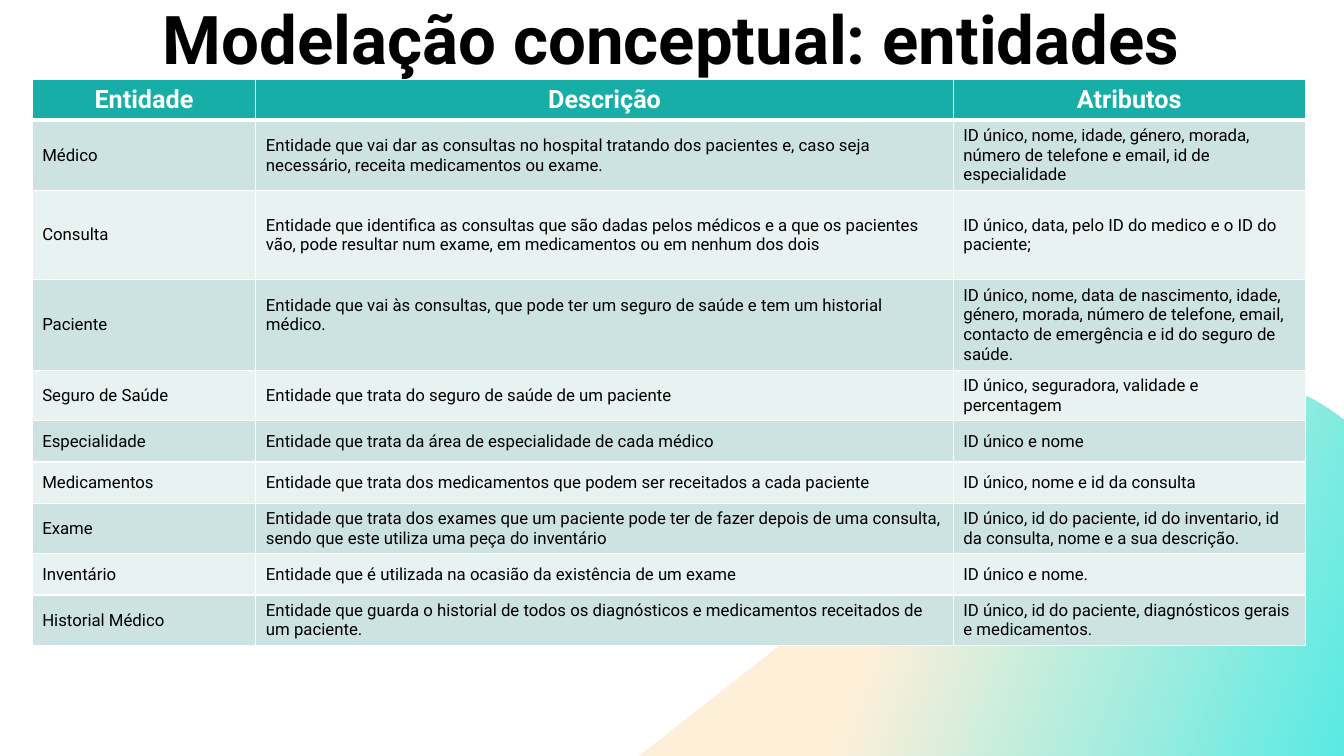
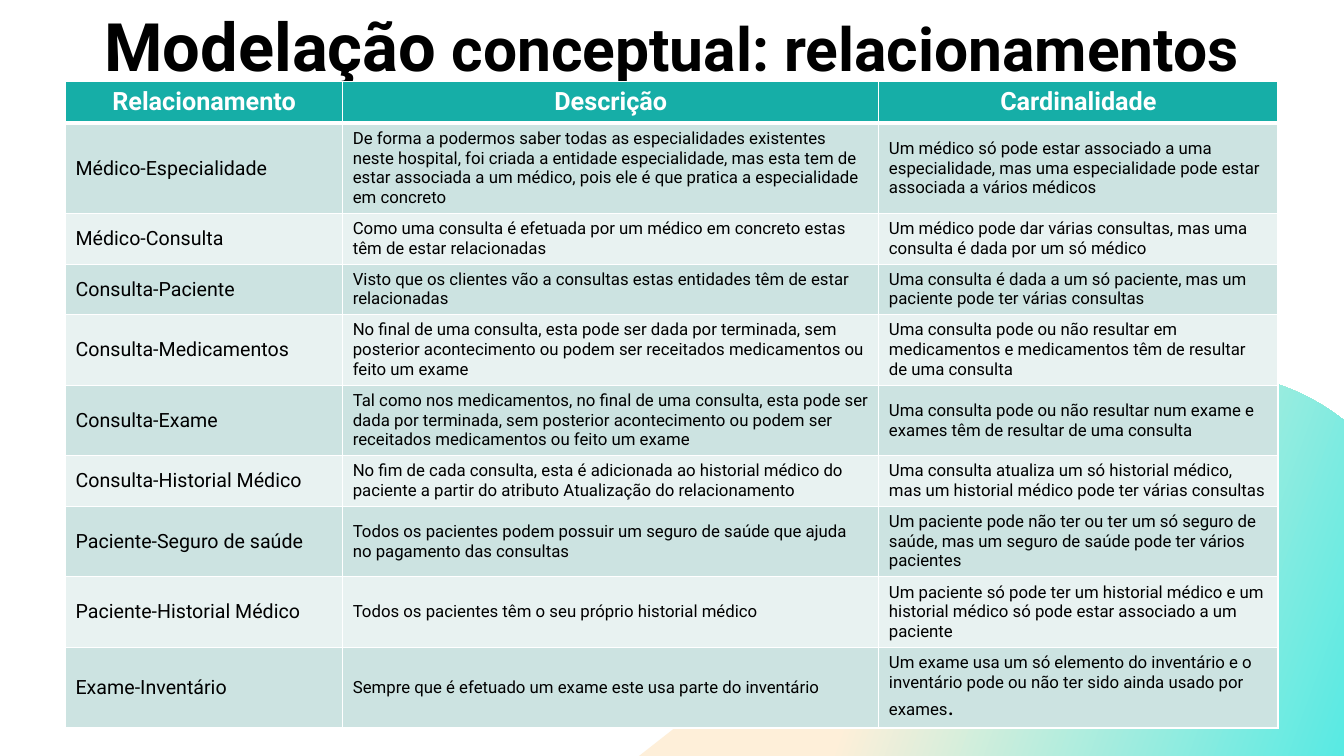
from dataclasses import dataclass

from lxml.etree import SubElement
from pptx import Presentation
from pptx.dml.color import RGBColor
from pptx.enum.text import MSO_ANCHOR, PP_ALIGN
from pptx.oxml.ns import qn
from pptx.util import Pt


@dataclass(frozen=True)
class Theme:
    font: str = "Roboto"
    ink: str = "000000"
    white: str = "FFFFFF"
    header: str = "16AEA7"
    bands: tuple = ("CCE3E1", "E8F2F1")
    wave: tuple = ((0.39, "FEEFD9"), (1.0, "58EAE3"))
    wave_angle: int = 340
    header_size: float = 18
    body_size: float = 12
    line_height: float = 14.06
    cell_padding: float = 7.2
    minimum_row: float = 29.5
    thin_border: float = 1
    thick_border: float = 3


THEME = Theme()
SLIDE_WIDTH, SLIDE_HEIGHT = 960, 540

# Each row is the number of text lines that it holds, then its cells.
# A text is a string, or a list of (string, size) parts.
SLIDES = [
    {
        "title": [("Modelação conceptual: entidades", 48)],
        "title_box": (80.6, -10, 798.5, 66),
        "table_at": (23, 57),
        "columns": (159.8, 498.2, 251.3),
        "header_height": 28.3,
        "first_column_size": 12,
        "raised_cells": {(3, 1)},
        "header": ("Entidade", "Descrição", "Atributos"),
        "rows": [
            (3, "Médico",
             "Entidade que vai dar as consultas no hospital tratando dos pacientes e, caso seja "
             "necessário, receita medicamentos ou exame.",
             "ID único, nome, idade, género, morada, número de telefone e email, id de especialidade"),
            (4, "Consulta",
             "Entidade que identifica as consultas que são dadas pelos médicos e a que os pacientes "
             "vão, pode resultar num exame, em medicamentos ou em nenhum dos dois",
             "ID único, data, pelo ID do medico e o ID do paciente;"),
            (4, "Paciente",
             "Entidade que vai às consultas, que pode ter um seguro de saúde e tem um historial médico.",
             "ID único, nome, data de nascimento, idade, género, morada, número de telefone, email, "
             "contacto de emergência e id do seguro de saúde."),
            (2, "Seguro de Saúde",
             "Entidade que trata do seguro de saúde de um paciente",
             "ID único, seguradora, validade e percentagem"),
            (1, "Especialidade",
             "Entidade que trata da área de especialidade de cada médico",
             "ID único e nome"),
            (1, "Medicamentos",
             "Entidade que trata dos medicamentos que podem ser receitados a cada paciente",
             "ID único, nome e id da consulta"),
            (2, "Exame",
             "Entidade que trata dos exames que um paciente pode ter de fazer depois de uma consulta, "
             "sendo que este utiliza uma peça do inventário",
             "ID único, id do paciente, id do inventario, id da consulta, nome e a sua descrição."),
            (1, "Inventário",
             "Entidade que é utilizada na ocasião da existência de um exame",
             "ID único e nome."),
            (2, "Historial Médico",
             "Entidade que guarda o historial de todos os diagnósticos e medicamentos receitados de "
             "um paciente.",
             "ID único, id do paciente, diagnósticos gerais e medicamentos."),
        ],
    },
    {
        "title": [("Modelação", 47.7), (" conceptual: relacionamentos", 43.2)],
        "title_box": (33.1, 4.4, 893.5, 56),
        "table_at": (46.8, 58.3),
        "columns": (198, 383, 285.1),
        "header_height": 29.5,
        "first_column_size": 14,
        "raised_cells": set(),
        "header": ("Relacionamento", "Descrição", "Cardinalidade"),
        "rows": [
            (4, "Médico-Especialidade",
             "De forma a podermos saber todas as especialidades existentes neste hospital, foi criada "
             "a entidade especialidade, mas esta tem de estar associada a um médico, pois ele é que "
             "pratica a especialidade em concreto",
             "Um médico só pode estar associado a uma especialidade, mas uma especialidade pode estar "
             "associada a vários médicos"),
            (2, "Médico-Consulta",
             "Como uma consulta é efetuada por um médico em concreto estas têm de estar relacionadas",
             "Um médico pode dar várias consultas, mas uma consulta é dada por um só médico"),
            (2, "Consulta-Paciente",
             "Visto que os clientes vão a consultas estas entidades têm de estar relacionadas",
             "Uma consulta é dada a um só paciente, mas um paciente pode ter várias consultas"),
            (3, "Consulta-Medicamentos",
             "No final de uma consulta, esta pode ser dada por terminada, sem posterior acontecimento "
             "ou podem ser receitados medicamentos ou feito um exame",
             "Uma consulta pode ou não resultar em medicamentos e medicamentos têm de resultar de uma "
             "consulta"),
            (3, "Consulta-Exame",
             "Tal como nos medicamentos, no final de uma consulta, esta pode ser dada por terminada, "
             "sem posterior acontecimento ou podem ser receitados medicamentos ou feito um exame",
             "Uma consulta pode ou não resultar num exame e exames têm de resultar de uma consulta"),
            (2, "Consulta-Historial Médico",
             "No fim de cada consulta, esta é adicionada ao historial médico do paciente a partir do "
             "atributo Atualização do relacionamento",
             "Uma consulta atualiza um só historial médico, mas um historial médico pode ter várias "
             "consultas"),
            (3, "Paciente-Seguro de saúde",
             "Todos os pacientes podem possuir um seguro de saúde que ajuda no pagamento das consultas",
             "Um paciente pode não ter ou ter um só seguro de saúde, mas um seguro de saúde pode ter "
             "vários pacientes"),
            (3, "Paciente-Historial Médico",
             "Todos os pacientes têm o seu próprio historial médico",
             "Um paciente só pode ter um historial médico e um historial médico só pode estar "
             "associado a um paciente"),
            (3.5, "Exame-Inventário",
             "Sempre que é efetuado um exame este usa parte do inventário",
             [("Um exame usa um só elemento do inventário e o inventário pode ou não ter sido ainda "
               "usado por exames", 12), (".", 18)]),
        ],
    },
]


def write_text(frame, text, *, size=THEME.body_size, color=THEME.ink, bold=False,
               align=PP_ALIGN.LEFT):
    para = frame.paragraphs[0]
    para.alignment = align
    for part, part_size in [(text, size)] if isinstance(text, str) else text:
        span = para.add_run()
        span.text = part
        span.font.name = THEME.font
        span.font.size = Pt(part_size)
        span.font.bold = bold
        span.font.color.rgb = RGBColor.from_string(color)


def curve(start, first_control, second_control, end, steps=24):
    """Points along a cubic Bézier curve, without its start."""
    points = []
    for step in range(1, steps + 1):
        t = step / steps
        weights = ((1 - t) ** 3, 3 * t * (1 - t) ** 2, 3 * t ** 2 * (1 - t), t ** 3)
        corners = (start, first_control, second_control, end)
        points.append(tuple(sum(w * corner[axis] for w, corner in zip(weights, corners))
                            for axis in (0, 1)))
    return points


def add_wave(page):
    crest, shoulder = (863.3, 266.4), (768.2, 295.2)
    outline = [
        *curve(crest, (897.8, 266.4), (931.7, 277.9), (SLIDE_WIDTH, 300.2)),
        (SLIDE_WIDTH, SLIDE_HEIGHT), (456.5, SLIDE_HEIGHT), (764.6, 298.1), shoulder,
        *curve(shoulder, (794.2, 277.2), (824.4, 267.1), (853.9, 266.4)),
    ]
    builder = page.shapes.build_freeform(Pt(crest[0]), Pt(crest[1]))
    builder.add_line_segments([(Pt(x), Pt(y)) for x, y in outline], close=True)
    wave = builder.convert_to_shape()
    wave.shadow.inherit = False
    wave.line.fill.background()
    wave.fill.gradient()
    wave.fill.gradient_angle = THEME.wave_angle
    for stop, (position, color) in zip(wave.fill.gradient_stops, THEME.wave):
        stop.position = position
        stop.color.rgb = RGBColor.from_string(color)


def add_title(page, text, bounds):
    box = page.shapes.add_textbox(*(Pt(length) for length in bounds))
    frame = box.text_frame
    frame.word_wrap = True
    frame.vertical_anchor = MSO_ANCHOR.BOTTOM
    frame.margin_top = frame.margin_bottom = 0
    write_text(frame, text, bold=True, align=PP_ALIGN.CENTER)


def set_borders(cell, top, bottom):
    properties = cell._tc.get_or_add_tcPr()
    widths = {"a:lnL": THEME.thin_border, "a:lnR": THEME.thin_border,
              "a:lnT": top, "a:lnB": bottom}
    for tag, width in widths.items():
        line = SubElement(properties, qn(tag), w=str(Pt(width)))
        SubElement(SubElement(line, qn("a:solidFill")), qn("a:srgbClr"), val=THEME.white)


def style_cell(cell, fill, *, top=THEME.thin_border, bottom=THEME.thin_border):
    set_borders(cell, top, bottom)
    cell.fill.solid()
    cell.fill.fore_color.rgb = RGBColor.from_string(fill)


def add_entity_table(page, content):
    rows, columns = content["rows"], content["columns"]
    heights = [content["header_height"]] + [
        max(THEME.minimum_row, lines * THEME.line_height + THEME.cell_padding)
        for lines, *_ in rows]
    left, top = content["table_at"]
    table = page.shapes.add_table(len(heights), len(columns), Pt(left), Pt(top),
                                  Pt(sum(columns)), Pt(sum(heights))).table
    table.horz_banding = False
    for column, width in zip(table.columns, columns):
        column.width = Pt(width)
    for row, height in zip(table.rows, heights):
        row.height = Pt(height)

    for index, heading in enumerate(content["header"]):
        cell = table.cell(0, index)
        style_cell(cell, THEME.header, bottom=THEME.thick_border)
        write_text(cell.text_frame, heading, size=THEME.header_size, color=THEME.white,
                   bold=True, align=PP_ALIGN.CENTER)

    for number, (_, *texts) in enumerate(rows, start=1):
        for index, text in enumerate(texts):
            cell = table.cell(number, index)
            style_cell(cell, THEME.bands[(number - 1) % 2],
                       top=THEME.thick_border if number == 1 else THEME.thin_border)
            cell.vertical_anchor = MSO_ANCHOR.MIDDLE
            if (number, index) in content["raised_cells"]:
                cell.margin_bottom = Pt(THEME.cell_padding / 2 + THEME.line_height)
            write_text(cell.text_frame, text,
                       size=THEME.body_size if index else content["first_column_size"])


def main():
    deck = Presentation()
    deck.slide_width, deck.slide_height = Pt(SLIDE_WIDTH), Pt(SLIDE_HEIGHT)
    for content in SLIDES:
        page = deck.slides.add_slide(deck.slide_layouts[6])
        add_wave(page)
        add_title(page, content["title"], content["title_box"])
        add_entity_table(page, content)
    deck.save("out.pptx")


if __name__ == "__main__":
    main()
